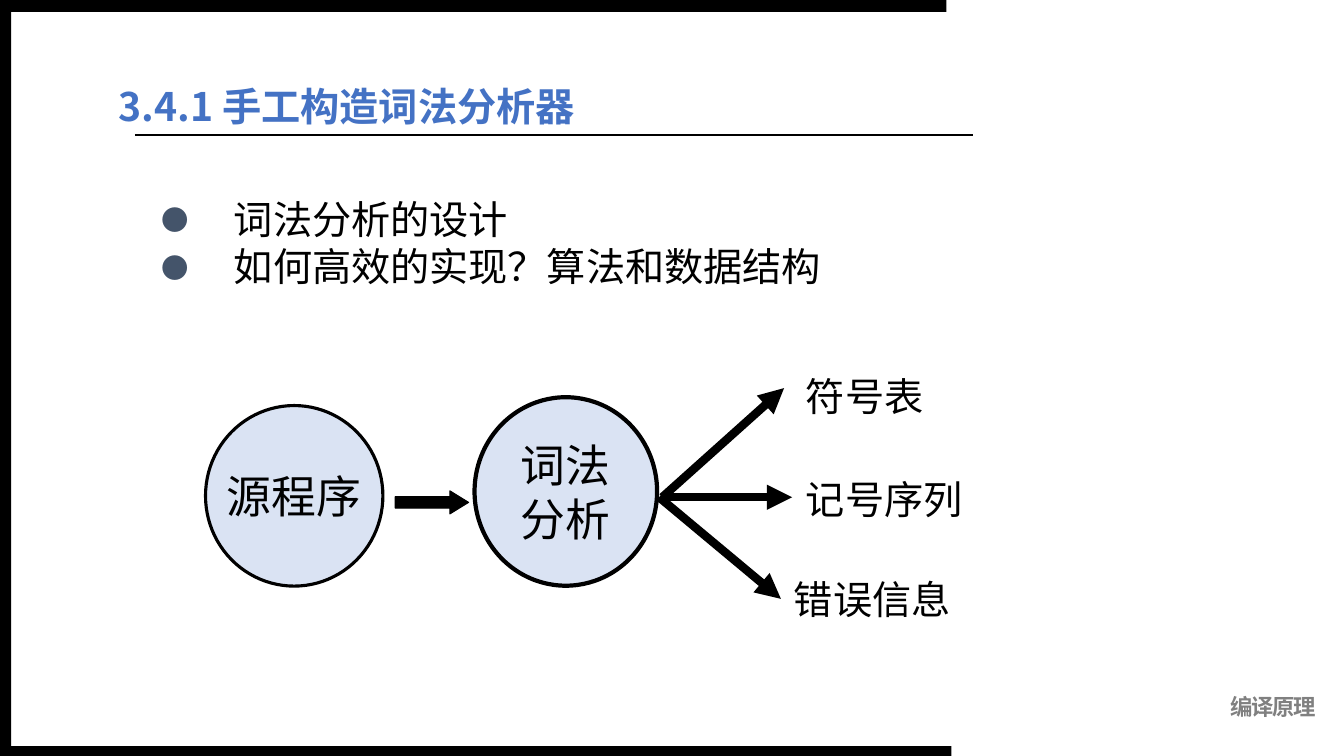
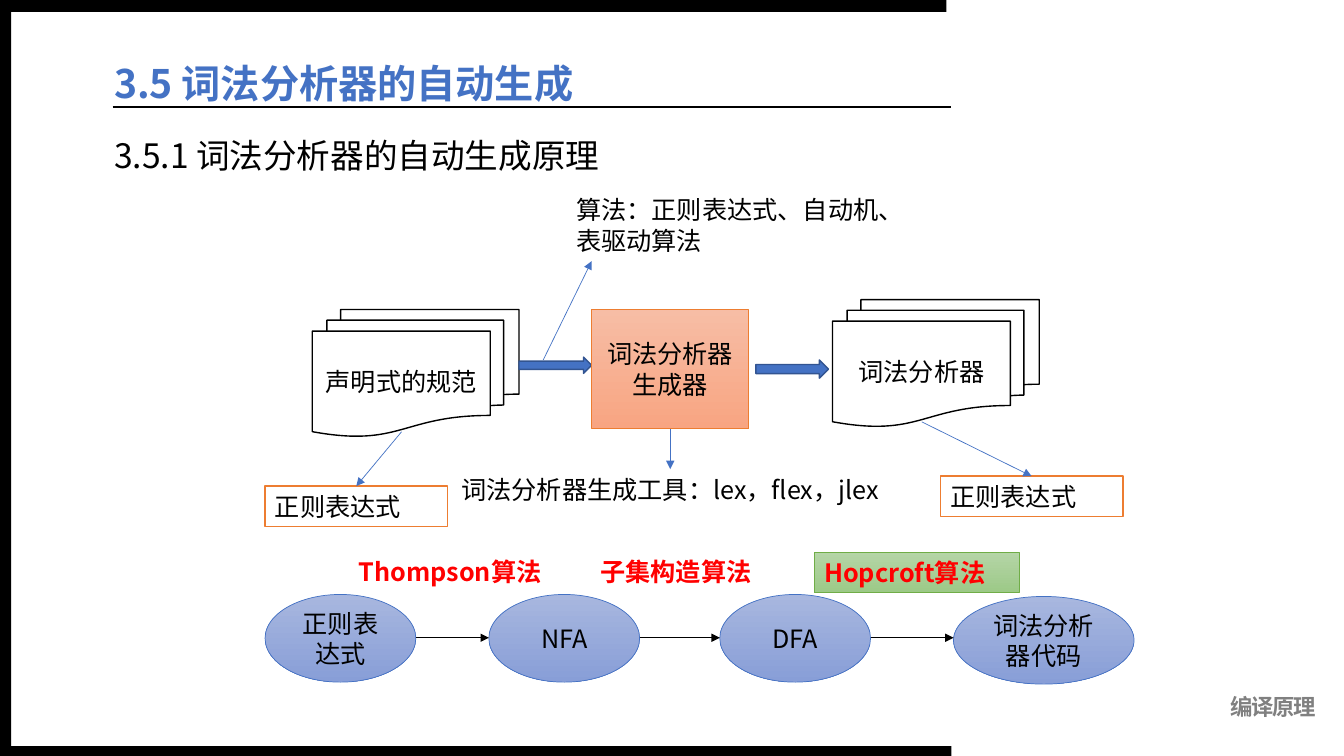
"""Build two slides on constructing lexical analysers."""
from itertools import pairwise

from lxml import etree
from pptx import Presentation
from pptx.dml.color import RGBColor
from pptx.enum.shapes import MSO_CONNECTOR, MSO_SHAPE
from pptx.enum.text import MSO_ANCHOR, MSO_AUTO_SIZE, PP_ALIGN
from pptx.oxml.ns import qn
from pptx.util import Cm, Pt

RECTANGLE, ELLIPSE = MSO_SHAPE.RECTANGLE, MSO_SHAPE.OVAL
BLOCK_ARROW, DOCUMENTS = MSO_SHAPE.RIGHT_ARROW, MSO_SHAPE.FLOWCHART_MULTIDOCUMENT
STRAIGHT = MSO_CONNECTOR.STRAIGHT
TOP, MIDDLE, BOTTOM = MSO_ANCHOR.TOP, MSO_ANCHOR.MIDDLE, MSO_ANCHOR.BOTTOM
LEFT, CENTER, RIGHT = PP_ALIGN.LEFT, PP_ALIGN.CENTER, PP_ALIGN.RIGHT
NO_AUTOFIT = MSO_AUTO_SIZE.NONE
TOP_SITE, BOTTOM_SITE = 0, 2

FONT = "Noto Sans CJK SC"
BLACK, WHITE, GRAY, RED = "000000", "FFFFFF", "808080", "FF0000"
BLUE, DARK_BLUE, PALE_BLUE, SLATE = "4472C4", "325491", "DAE3F3", "44546A"
ORANGE, GREEN = "ED7D31", "70AD47"
BLUE_FADE = ("A8B7DF", "889ED7")
ORANGE_FADE = ("F7BDA5", "F8A582")
GREEN_FADE = ("B5D5A7", "9CC987")

SLIDE_WIDTH, SLIDE_HEIGHT = 33.87, 19.05
RULE_WIDTH = 21.13


def rgb(value):
    """Turn a hex string into a colour."""
    return RGBColor.from_string(value)


def lengths(*values):
    """Turn numbers of centimetres into lengths."""
    return [Cm(value) for value in values]


def set_text(holder, text, size, color=BLACK, bold=False, align=LEFT,
             anchor=TOP, wrap=True, latin=FONT):
    """Write text into a shape and format every paragraph alike."""
    frame = holder.text_frame
    frame.text = text
    frame.word_wrap = wrap
    frame.auto_size = NO_AUTOFIT
    frame.vertical_anchor = anchor
    for paragraph in frame.paragraphs:
        paragraph.alignment = align
        for run in paragraph.runs:
            run.font.size, run.font.bold = Pt(size), bold
            run.font.color.rgb = rgb(color)
            run.font.name = latin
            etree.SubElement(run.font._element, qn("a:ea"), typeface=FONT)
    return frame


def add_label(slide, box, text, size, **style):
    """Add a text box."""
    label = slide.shapes.add_textbox(*lengths(*box))
    set_text(label, text, size, **style)
    return label


def add_block(slide, kind, box, fill, line=None, width=1):
    """Add a preset shape with a plain fill or a two-colour fade."""
    block = slide.shapes.add_shape(kind, *lengths(*box))
    block.shadow.inherit = False
    if isinstance(fill, tuple):
        block.fill.gradient()
        block.fill.gradient_angle = 270
        for stop, color in zip(block.fill.gradient_stops, fill):
            stop.color.rgb = rgb(color)
    else:
        block.fill.solid()
        block.fill.fore_color.rgb = rgb(fill)
    if line:
        block.line.color.rgb = rgb(line)
        block.line.width = Pt(width)
    else:
        block.line.fill.background()
    return block


def add_line(slide, start, end, color, width, arrow=True):
    """Add a straight line, with an arrowhead unless told otherwise."""
    connector = slide.shapes.add_connector(STRAIGHT, *lengths(*start, *end))
    connector.line.color.rgb = rgb(color)
    connector.line.width = Pt(width)
    properties = connector._element.spPr
    if arrow:
        etree.SubElement(properties.find(qn("a:ln")), qn("a:tailEnd"), type="triangle")
    etree.SubElement(properties, qn("a:effectLst"))
    return connector


def place(holder, box):
    """Move a placeholder to a box."""
    holder.left, holder.top, holder.width, holder.height = lengths(*box)


def set_bullet(paragraph, indent=0, char=None):
    """Give a paragraph a hanging bullet, or none."""
    properties = paragraph._p.get_or_add_pPr()
    properties.set("marL", str(Cm(indent)))
    properties.set("indent", str(-Cm(indent)))
    if char:
        color = etree.SubElement(properties, qn("a:buClr"))
        etree.SubElement(color, qn("a:srgbClr"), val=SLATE)
        etree.SubElement(properties, qn("a:buSzPct"), val="70000")
        etree.SubElement(properties, qn("a:buFont"), typeface=FONT)
        etree.SubElement(properties, qn("a:buChar"), char=char)
    else:
        etree.SubElement(properties, qn("a:buNone"))


def start_slide(deck, title, title_box, rule_start):
    """Add a slide with the shared bands, footer, title and rule."""
    slide = deck.slides.add_slide(deck.slide_layouts[1])
    footer = add_label(slide, (27.94, 17.37, 5.23, 0.79), "编译原理", 16,
                       color=GRAY, bold=True, align=RIGHT)
    frame = footer.text_frame
    frame.margin_left = frame.margin_right = frame.margin_bottom = 0
    frame.margin_top = Cm(0.1)
    frame.paragraphs[0].runs[0].font._element.set("spc", "-100")
    x, y = rule_start
    add_line(slide, rule_start, (x + RULE_WIDTH, y), BLACK, 1.5, arrow=False)
    for band in ((0, 0, 23.85, 0.3), (0, 18.8, 23.98, 0.25), (0, 0, 0.28, SLIDE_HEIGHT)):
        add_block(slide, RECTANGLE, band, BLACK)
    place(slide.shapes.title, title_box)
    frame = set_text(slide.shapes.title, title, 28, color=BLUE, bold=True, anchor=BOTTOM)
    frame.paragraphs[0].line_spacing = 0.9
    return slide


def add_topics(slide, box, topics):
    """Fill the body placeholder with a bulleted list."""
    body = slide.placeholders[1]
    place(body, box)
    for paragraph in set_text(body, "\n".join(topics), 28, latin="Arial").paragraphs:
        paragraph.space_before = Pt(0)
        set_bullet(paragraph, 1.83, "●")


def add_subtitle(slide, box, text):
    """Use the body placeholder as a subtitle."""
    body = slide.placeholders[1]
    place(body, box)
    paragraph = set_text(body, text, 24, anchor=BOTTOM).paragraphs[0]
    paragraph.line_spacing = 0.9
    set_bullet(paragraph)


def add_analysis(slide, left, top):
    """Draw the source program, the analysis and its three results."""
    stages = (("源程序", 0, 0.97, 4.47, 4.55, 2.25),
              ("词法\n分析", 6.78, 0.76, 4.6, 4.75, 3))
    for text, x, y, width, height, outline in stages:
        stage = add_block(slide, ELLIPSE, (left + x, top + y, width, height),
                          PALE_BLUE, BLACK, outline)
        set_text(stage, text, 32, align=CENTER, anchor=MIDDLE, wrap=False)
    arrow = add_block(slide, BLOCK_ARROW, (left + 4.78, top + 3.12, 1.85, 0.58),
                      BLACK, BLACK, 0.75)
    arrow.adjustments[1] = 0.81
    results = (("符号表", 14.88, 0, 11.51, 14.58, 0.53),
               ("记号序列", 14.88, 2.59, 11.51, 14.78, 3.28),
               ("错误信息", 14.58, 5.11, 11.43, 14.5, 5.84))
    for text, x, y, start_x, tip_x, tip_y in results:
        add_line(slide, (left + start_x, top + 3.28), (left + tip_x, top + tip_y), BLACK, 6)
        add_label(slide, (left + x, top + y, 6.15, 1.35), text, 28)


def add_documents(slide, left, top, text, note_shift):
    """Draw a stack of documents with an arrow to its note."""
    documents = add_block(slide, DOCUMENTS, (left, top, 5.21, 3.2), WHITE, BLACK)
    set_text(documents, text, 18, align=CENTER, anchor=MIDDLE)
    note = add_block(slide, RECTANGLE, (left + note_shift, top + 4.45, 4.6, 1.02),
                     WHITE, ORANGE)
    set_text(note, "正则表达式", 18)
    start = (left + 2.25, top + 3.08)
    add_line(slide, start, start, BLUE, 0.5).end_connect(note, TOP_SITE)


def add_generation(slide, left, top):
    """Draw the way from specification to lexical analyser."""
    tools = add_label(slide, (left + 4.01, top + 7.04, 12.4, 1.02),
                      "词法分析器生成工具：lex，flex，jlex", 18, align=CENTER)
    add_documents(slide, left + 1.19, top + 3.02, "声明式的规范", -1.19)
    add_documents(slide, left + 14.3, top + 2.77, "词法分析器", 2.72)
    for x, y, height in ((6.4, 4.22, 0.41), (12.37, 4.29, 0.46)):
        add_block(slide, BLOCK_ARROW, (left + x, top + y, 1.83, height), BLUE, DARK_BLUE)
    generator = add_block(slide, RECTANGLE, (left + 8.23, top + 3.02, 3.96, 3),
                          ORANGE_FADE, ORANGE, 0.5)
    set_text(generator, "词法分析器生成器", 18, align=CENTER, anchor=MIDDLE)
    tool_arrow = add_line(slide, (left, top), (left, top), BLUE, 0.5)
    tool_arrow.begin_connect(generator, BOTTOM_SITE)
    tool_arrow.end_connect(tools, TOP_SITE)
    add_label(slide, (left + 7.59, top, 8.41, 1.8),
              "算法：正则表达式、自动机、表驱动算法", 18)
    add_line(slide, (left + 7.01, top + 4.29), (left + 8.23, top + 1.8), BLUE, 0.5)


def add_algorithms(slide, left, top):
    """Draw the chain of automata with the algorithms above it."""
    states = (("正则表达式", 0, 1.09, 3.8), ("NFA", 5.64, 1.09, 3.8),
              ("DFA", 11.46, 1.09, 3.8), ("词法分析器代码", 17.35, 1.14, 4.55))
    for text, x, y, width in states:
        state = add_block(slide, ELLIPSE, (left + x, top + y, width, 2.21),
                          BLUE_FADE, BLUE, 0.5)
        set_text(state, text, 18, align=CENTER, anchor=MIDDLE)
    for (_, x, _, width), (_, next_x, _, _) in pairwise(states):
        add_line(slide, (left + x + width, top + 2.18), (left + next_x, top + 2.18),
                 BLACK, 0.5)
    for text, x in (("Thompson算法", 2.11), ("子集构造算法", 8.2)):
        add_label(slide, (left + x, top, 5.6, 1.02), text, 18, color=RED, bold=True)
    minimiser = add_block(slide, RECTANGLE, (left + 13.84, top + 0.03, 5.16, 1.02),
                          GREEN_FADE, GREEN, 0.5)
    set_text(minimiser, "Hopcroft算法", 18, color=RED, bold=True)


def main():
    """Build and save the deck."""
    deck = Presentation()
    deck.slide_width, deck.slide_height = lengths(SLIDE_WIDTH, SLIDE_HEIGHT)

    manual = start_slide(deck, "3.4.1 手工构造词法分析器", (2.74, 1.07, 17.53, 2.34), (3.4, 3.4))
    add_topics(manual, (3.81, 4.8, 22.05, 3.05),
               ("词法分析的设计", "如何高效的实现？算法和数据结构"))
    add_analysis(manual, 5.18, 9.25)

    automatic = start_slide(deck, "3.5 词法分析器的自动生成", (2.62, 1.37, 16.94, 1.45), (2.84, 2.69))
    add_subtitle(automatic, (2.62, 2.82, 29.21, 1.73), "3.5.1 词法分析器的自动生成原理")
    add_generation(automatic, 6.68, 4.78)
    add_algorithms(automatic, 6.68, 13.89)

    deck.save("out.pptx")


if __name__ == "__main__":
    main()
